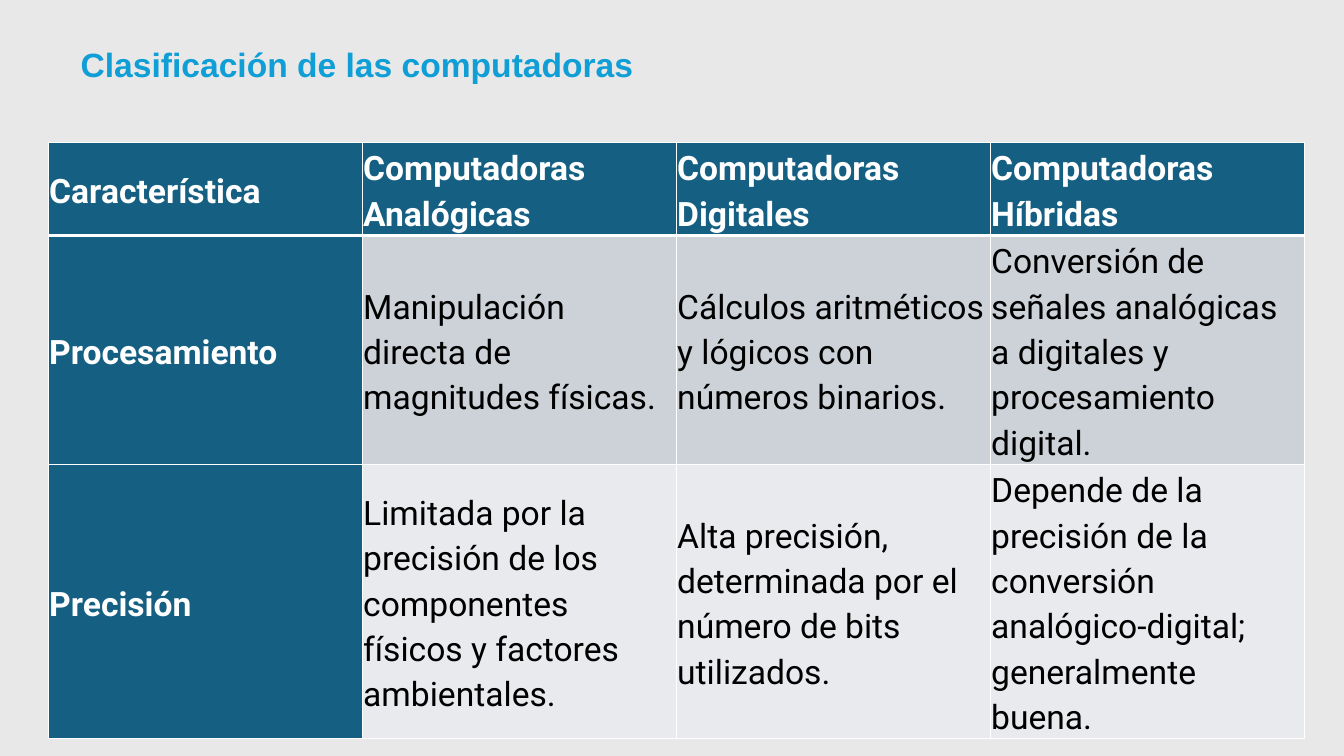
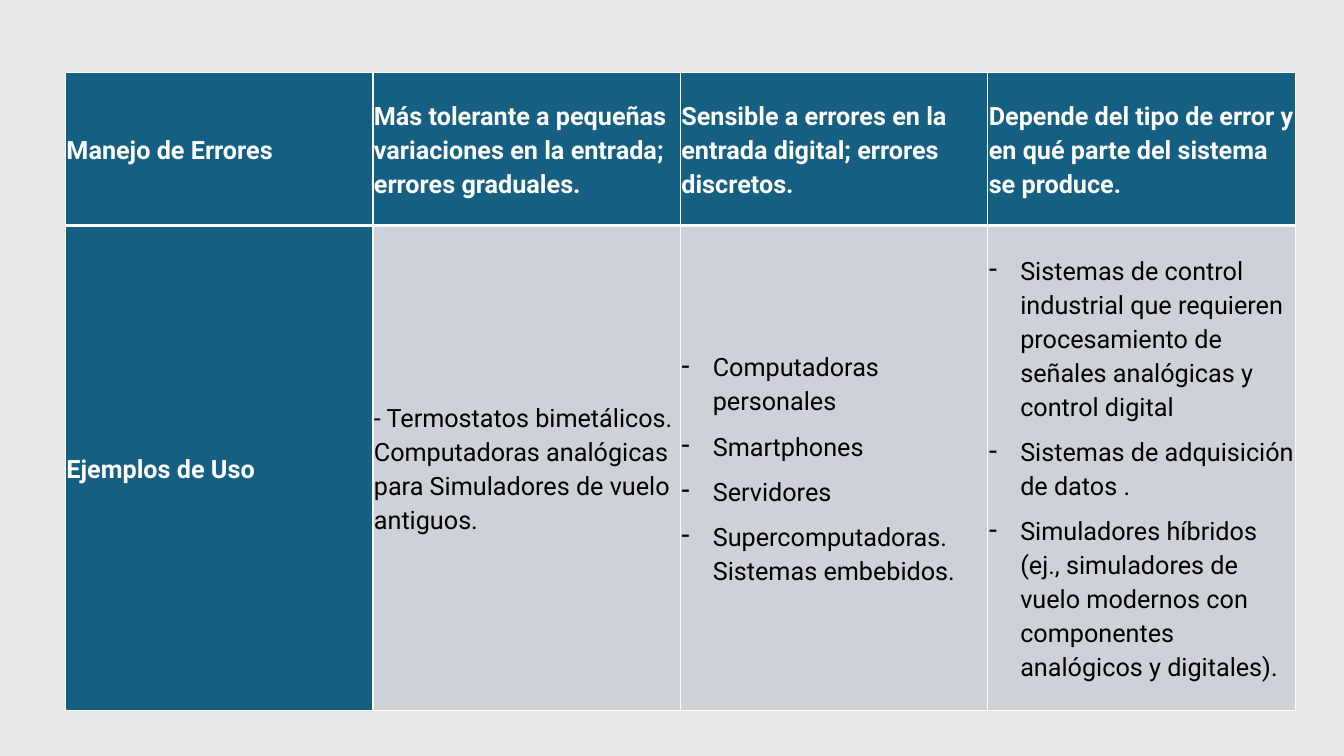
from dataclasses import dataclass

import pptx
import pptx.dml.color
import pptx.enum.text
import pptx.oxml
import pptx.oxml.ns
import pptx.util

Pt = pptx.util.Pt
MIDDLE = pptx.enum.text.MSO_ANCHOR.MIDDLE

COLORS = {
    "background": "E8E8E8",
    "title": "0F9ED5",
    "heading": "156082",
    "band_dark": "CCD2D8",
    "band_light": "E8EAED",
    "light_text": "FFFFFF",
    "dark_text": "000000",
    "border": "FFFFFF",
}
TITLE_FONT, TABLE_FONT = "Arial", "Roboto"
CELL_MARGIN = Pt(0.7)
BULLET_INDENT = Pt(22.5)
TITLE_ONLY_LAYOUT, BLANK_LAYOUT = 5, 6


@dataclass(frozen=True)
class Comparison:
    """A table whose first row and first column are headings; a tuple is a list."""
    left: float
    top: float
    column_width: float
    row_heights: tuple[float, ...]
    font_size: float
    rows: tuple[tuple[str | tuple[str, ...], ...], ...]


TYPES = Comparison(
    34.5, 102, 224.3, (66, 163, 196), 24,
    (
        ("Característica", "Computadoras Analógicas",
         "Computadoras Digitales", "Computadoras Híbridas"),
        ("Procesamiento",
         "Manipulación directa de magnitudes físicas.",
         "Cálculos aritméticos y lógicos con números binarios.",
         "Conversión de señales analógicas a digitales y procesamiento digital."),
        ("Precisión",
         "Limitada por la precisión de los componentes físicos y factores ambientales.",
         "Alta precisión, determinada por el número de bits utilizados.",
         "Depende de la precisión de la conversión analógico-digital; "
         "generalmente buena."),
    ),
)
ERRORS_AND_USES = Comparison(
    46.8, 51.6, 219.6, (109.5, 346.3), 18,
    (
        ("Manejo de Errores",
         "Más tolerante a pequeñas variaciones en la entrada; errores graduales.",
         "Sensible a errores en la entrada digital; errores discretos.",
         "Depende del tipo de error y en qué parte del sistema se produce."),
        ("Ejemplos de Uso",
         "- Termostatos bimetálicos. Computadoras analógicas para "
         "Simuladores de vuelo antiguos.",
         ("Computadoras personales", "Smartphones", "Servidores",
          "Supercomputadoras. Sistemas embebidos."),
         ("Sistemas de control industrial que requieren procesamiento de "
          "señales analógicas y control digital",
          "Sistemas de adquisición de datos .",
          "Simuladores híbridos (ej., simuladores de vuelo modernos con "
          "componentes analógicos y digitales).")),
    ),
)


def rgb(name: str) -> pptx.dml.color.RGBColor:
    return pptx.dml.color.RGBColor.from_string(COLORS[name])


def add_span(para, text: str, font: str, size: float, color: str, bold: bool) -> None:
    span = para.add_run()
    span.text = text
    span.font.name = font
    span.font.size = Pt(size)
    span.font.bold = bold
    span.font.color.rgb = rgb(color)


def add_title(page, text: str) -> None:
    box = page.shapes.title
    box.left, box.top, box.width, box.height = Pt(50.4), Pt(12.2), Pt(828), Pt(71.3)
    box.text_frame.vertical_anchor = MIDDLE
    para = box.text_frame.paragraphs[0]
    para.alignment = pptx.enum.text.PP_ALIGN.LEFT
    para.line_spacing = 0.9
    add_span(para, text, TITLE_FONT, 24, "title", True)


def add_dash(para) -> None:
    properties = para._p.get_or_add_pPr()
    properties.set("marL", str(BULLET_INDENT))
    properties.set("indent", str(-BULLET_INDENT))
    bullet = pptx.oxml.parse_xml(
        f'<a:buChar {pptx.oxml.ns.nsdecls("a")} char="-"/>')
    properties.append(bullet)


def add_borders(cell, bottom_width: float) -> None:
    properties = cell._tc.get_or_add_tcPr()
    for side, width in (("L", 1), ("R", 1), ("T", 1), ("B", bottom_width)):
        properties.append(pptx.oxml.parse_xml(
            f'<a:ln{side} {pptx.oxml.ns.nsdecls("a")} w="{Pt(width)}"><a:solidFill>'
            f'<a:srgbClr val="{COLORS["border"]}"/></a:solidFill></a:ln{side}>'))


def fill_cell(cell, content: str | tuple[str, ...], size: float,
              row: int, column: int) -> None:
    heading = row == 0 or column == 0
    band = "band_dark" if row % 2 else "band_light"
    add_borders(cell, 3 if row == 0 else 1)
    cell.fill.solid()
    cell.fill.fore_color.rgb = rgb("heading" if heading else band)
    cell.vertical_anchor = MIDDLE
    cell.margin_left = cell.margin_right = CELL_MARGIN
    cell.margin_top = cell.margin_bottom = CELL_MARGIN

    listed = isinstance(content, tuple)
    frame = cell.text_frame
    for index, text in enumerate(content if listed else (content,)):
        para = frame.add_paragraph() if index else frame.paragraphs[0]
        para.line_spacing = 1.15
        para.space_after = Pt(8)
        if listed:
            add_dash(para)
        add_span(para, text, TABLE_FONT, size,
                 "light_text" if heading else "dark_text", heading)


def add_comparison(page, comparison: Comparison) -> None:
    column_count = len(comparison.rows[0])
    table = page.shapes.add_table(
        len(comparison.rows), column_count,
        Pt(comparison.left), Pt(comparison.top),
        Pt(comparison.column_width * column_count),
        Pt(sum(comparison.row_heights))).table
    table.first_row = table.horz_banding = False
    for column in table.columns:
        column.width = Pt(comparison.column_width)
    for row, height in zip(table.rows, comparison.row_heights):
        row.height = Pt(height)
    for row, contents in enumerate(comparison.rows):
        for column, content in enumerate(contents):
            fill_cell(table.cell(row, column), content, comparison.font_size,
                      row, column)


def main() -> None:
    deck = pptx.Presentation()
    deck.slide_width, deck.slide_height = Pt(960), Pt(540)
    background = deck.slide_master.background.fill
    background.solid()
    background.fore_color.rgb = rgb("background")

    page = deck.slides.add_slide(deck.slide_layouts[TITLE_ONLY_LAYOUT])
    add_title(page, "Clasificación de las computadoras")
    add_comparison(page, TYPES)

    page = deck.slides.add_slide(deck.slide_layouts[BLANK_LAYOUT])
    add_comparison(page, ERRORS_AND_USES)

    deck.save("out.pptx")


if __name__ == "__main__":
    main()
